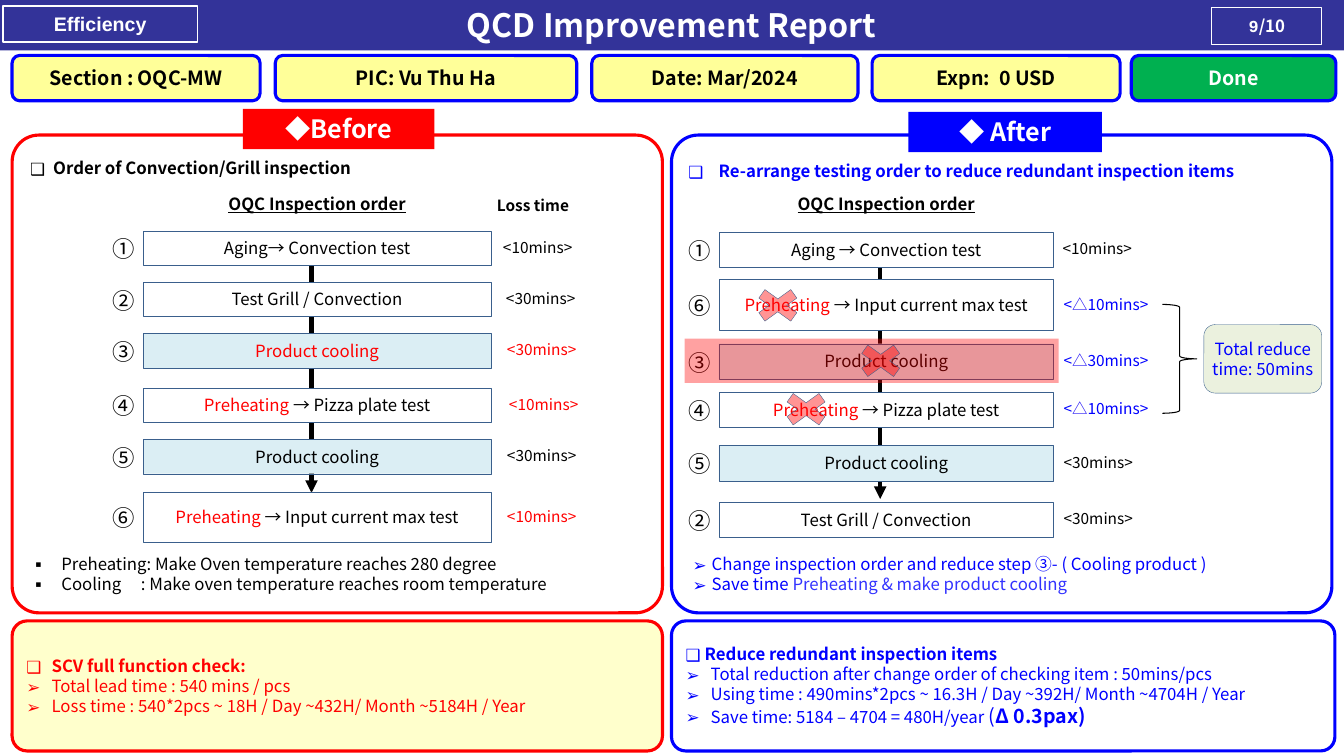
"""Build the QCD improvement report slide comparing inspection before and after."""
from lxml import etree
from pptx import Presentation, util as u
from pptx.dml.color import RGBColor
from pptx.enum import shapes as s, text as t
from pptx.oxml.ns import qn

FONT = "Noto Sans CJK JP"
BLACK, WHITE = RGBColor(0, 0, 0), RGBColor(255, 255, 255)
RED, BLUE = RGBColor(255, 0, 0), RGBColor(0, 0, 255)
NAVY, GREEN = RGBColor(0x33, 0x33, 0x99), RGBColor(0, 0xB0, 0x50)
YELLOW, CREAM = RGBColor(255, 255, 0x99), RGBColor(255, 255, 0xCC)
ICE, SAGE = RGBColor(0xDB, 0xEE, 0xF4), RGBColor(0xEB, 0xF1, 0xDE)
STEEL, VIOLET = RGBColor(0x3A, 0x5F, 0x8C), RGBColor(0x33, 0x33, 255)
INDIGO = RGBColor(0x17, 0x06, 0xF4)
RECT, ROUND = s.MSO_SHAPE.RECTANGLE, s.MSO_SHAPE.ROUNDED_RECTANGLE
CROSS, BRACE = s.MSO_SHAPE.MATH_MULTIPLY, s.MSO_SHAPE.RIGHT_BRACE
CENTER, LEFT = t.PP_ALIGN.CENTER, t.PP_ALIGN.LEFT
MIDDLE, TOP = t.MSO_ANCHOR.MIDDLE, t.MSO_ANCHOR.TOP
BOLD = {"bold": True}

FACTS = [
    ("Section : OQC-MW", 0.12, 2.46, YELLOW, BLACK),
    ("PIC: Vu Thu Ha", 2.73, 2.99, YELLOW, BLACK),
    ("Date: Mar/2024", 5.87, 2.64, YELLOW, BLACK),
    ("Expn:  0 USD", 8.65, 2.46, YELLOW, BLACK),
    ("Done", 11.22, 2.03, GREEN, WHITE),
]
FRAMES = [
    ((0.12, 1.34, 6.45, 4.74), RED, "◆Before", (2.41, 1.08, 1.9, 0.4)),
    ((6.66, 1.34, 6.55, 4.74), BLUE, "◆ After", (9.01, 1.11, 1.92, 0.4)),
]
PREHEAT = ("Preheating ", {"color": RED})
AGING = [("Aging → Convection test", {})]
GRILL = [("Test Grill / Convection", {})]
COOLING = [("Product cooling", {})]
RED_COOLING = [("Product cooling", {"color": RED})]
PIZZA = [PREHEAT, ("→ Pizza plate test", {})]
CURRENT = [PREHEAT, ("→ Input current max test", {})]
FLOWS = [
    {"left": 1.42, "width": 3.45, "axis": 3.09, "span": (2.42, 4.89), "number": 0.92, "steps": [
        ("①", 2.29, 0.34, [("Aging→ Convection test", {})], WHITE, "<10mins>", BLACK, 4.89),
        ("②", 2.80, 0.34, GRILL, WHITE, "<30mins>", BLACK, 4.92),
        ("③", 3.31, 0.34, RED_COOLING, ICE, "<30mins>", RED, 4.93),
        ("④", 3.85, 0.34, PIZZA, WHITE, "<10mins>", RED, 4.95),
        ("⑤", 4.36, 0.34, COOLING, ICE, "<30mins>", BLACK, 4.93),
        ("⑥", 4.88, 0.50, CURRENT, WHITE, "<10mins>", RED, 4.93)]},
    {"left": 7.13, "width": 3.32, "axis": 8.73, "span": (2.44, 4.95), "number": 6.63, "steps": [
        ("①", 2.30, 0.35, AGING, WHITE, "<10mins>", BLACK, 10.44),
        ("⑥", 2.77, 0.51, CURRENT, WHITE, "<△10mins>", BLUE, 10.45),
        ("③", 3.41, 0.35, COOLING, ICE, "<△30mins>", BLUE, 10.45),
        ("④", 3.89, 0.35, PIZZA, WHITE, "<△10mins>", BLUE, 10.45),
        ("⑤", 4.42, 0.35, COOLING, ICE, "<30mins>", BLACK, 10.45),
        ("②", 4.98, 0.35, GRILL, WHITE, "<30mins>", BLACK, 10.45)]},
]
STRUCK = [(8.43, 3.36), (7.41, 2.81), (7.69, 3.84)]
BEFORE_HEAD = [([("Order of Convection/Grill inspection", BOLD)], "❑", 0.23)]
AFTER_HEAD = [([("Re-arrange testing order to reduce redundant inspection items", BOLD)], "❑", 0.3)]
BEFORE_NOTES = [
    ([("Preheating: Make Oven temperature reaches 280 degree", {})], "▪", 0.31),
    ([("Cooling\t: Make oven temperature reaches room temperature", {})], "▪", 0.31),
]
COLON_STOPS = (0.79, 1.1)
AFTER_NOTES = [
    ([("Change inspection order and reduce step ③- ( Cooling product )", {})], "➢", 0.19),
    ([("Save time ", {}), ("Preheating & make product cooling", {"color": VIOLET})], "➢", 0.19),
]
BEFORE_SUM = [
    ([("SCV full function check:", BOLD)], "❑", 0.25),
    ([("Total lead time : 540 mins / pcs", {})], "➢", 0.25),
    ([("Loss time : 540*2pcs ~ 18H / Day ~432H/ Month ~5184H / Year", {})], "➢", 0.25),
]
AFTER_SUM = [
    ([("Reduce redundant inspection items", BOLD)], "❑", 0.19),
    ([("Total reduction after change order of checking item : 50mins/pcs", {})], "➢", 0.25),
    ([("Using time : 490mins*2pcs ~ 16.3H / Day ~392H/ Month ~4704H / Year", {})], "➢", 0.25),
    ([("Save time: 5184 – 4704 = 480H/year ", {}), ("(", {"size": 14}),
      ("Δ 0.3pax)", {"size": 14, "bold": True})], "➢", 0.25),
]


def inches(*lengths):
    return [u.Inches(length) for length in lengths]


def add_runs(para, runs, base):
    sizes = []
    for words, changes in runs:
        look = {"name": FONT, "size": 12, "color": BLACK, **base, **changes}
        span = para.add_run()
        span.text = words
        sizes.append(look["size"])
        span.font.color.rgb = look.pop("color")
        look["size"] = u.Pt(look["size"])
        for key, value in look.items():
            setattr(span.font, key, value)
        etree.SubElement(span.font._element, qn("a:ea"), typeface=look["name"])
    para.line_spacing = u.Pt(round(max(sizes) * 1.19, 1))


def write(box, paras, align=CENTER, anchor=MIDDLE, inset=(0.1, 0.05), **base):
    frame = box.text_frame
    across, down = inches(*inset)
    settings = {"word_wrap": True, "auto_size": t.MSO_AUTO_SIZE.NONE, "vertical_anchor": anchor,
                "margin_left": across, "margin_right": across, "margin_top": down, "margin_bottom": down}
    for key, value in settings.items():
        setattr(frame, key, value)
    for index, (runs, bullet, indent) in enumerate(paras):
        para = frame.add_paragraph() if index else frame.paragraphs[0]
        para.alignment = align
        if bullet:
            props = para._p.get_or_add_pPr()
            props.set("marL", str(u.Inches(indent)))
            props.set("indent", str(-u.Inches(indent)))
            etree.SubElement(props, qn("a:buFont"), typeface=FONT)
            etree.SubElement(props, qn("a:buChar"), char=bullet)
            if any("\t" in words for words, _ in runs):
                stops = etree.SubElement(props, qn("a:tabLst"))
                for stop in COLON_STOPS:
                    etree.SubElement(stops, qn("a:tab"), pos=str(u.Inches(stop)), algn="l")
        add_runs(para, runs, base)


def plain(words):
    return [([(words, {})], None, 0)]


def add_box(page, at, kind=RECT, fill=None, line=None, weight=0.25, alpha=None, corner=None):
    box = page.shapes.add_shape(kind, *inches(*at))
    box.shadow.inherit = False
    if fill is None:
        box.fill.background()
    else:
        box.fill.solid()
        box.fill.fore_color.rgb = fill
    if alpha:
        color = box._element.spPr.find(qn("a:solidFill"))[0]
        etree.SubElement(color, qn("a:alpha"), val=str(alpha * 1000))
    if line is None:
        box.line.fill.background()
    else:
        box.line.color.rgb = line
        box.line.width = u.Pt(weight)
    if corner:
        box.adjustments[0] = corner
    return box


def add_text(page, at, paras, **look):
    write(page.shapes.add_textbox(*inches(*at)), paras, **look)


def add_flow(page, flow):
    left, width, axis = flow["left"], flow["width"], flow["axis"]
    start, end = flow["span"]
    arrow = page.shapes.add_connector(s.MSO_CONNECTOR.STRAIGHT, *inches(axis, start, axis, end))
    arrow.line.color.rgb = BLACK
    arrow.line.width = u.Pt(3)
    etree.SubElement(arrow.line._get_or_add_ln(), qn("a:tailEnd"), type="triangle")
    etree.SubElement(arrow._element.spPr, qn("a:effectLst"))
    add_text(page, (left, 1.83, width, 0.38), plain("OQC Inspection order"), bold=True, underline=True)
    for number, top, height, runs, fill, loss, color, loss_left in flow["steps"]:
        middle = top + height / 2
        write(add_box(page, (left, top, width, height), fill=fill, line=STEEL), [(runs, None, 0)])
        add_text(page, (flow["number"], middle - 0.19, 0.62, 0.4), plain(number), size=16)
        pieces = [(part, {"color": INDIGO} if part == "△" else {})
                  for part in loss.replace("△", "|△|").split("|")]
        add_text(page, (loss_left, middle - 0.15, 1.16, 0.29), [(pieces, None, 0)],
                 align=LEFT, anchor=TOP, size=11, color=color)


def main():
    deck = Presentation()
    deck.slide_width, deck.slide_height = inches(13.33, 7.5)
    page = deck.slides.add_slide(deck.slide_layouts[5])
    title = page.shapes.title
    title.left, title.top, title.width, title.height = inches(0, 0, 13.33, 0.5)
    title.fill.solid()
    title.fill.fore_color.rgb = NAVY
    write(title, plain("QCD Improvement Report"), size=23, color=WHITE, bold=True)
    write(add_box(page, (12.02, 0.07, 1.09, 0.37), line=WHITE, weight=0.75),
          [([("9", {"name": "Courier New"}), ("/10", {})], None, 0)], color=WHITE, bold=True)
    write(add_box(page, (0.03, 0.06, 1.93, 0.36), line=WHITE, weight=1.25), plain("Efficiency"),
          inset=(0.04, 0), name="Arial", size=14, color=WHITE, bold=True)
    for words, left, width, fill, color in FACTS:
        box = add_box(page, (left, 0.55, width, 0.45), ROUND, fill, BLUE, 2.25)
        write(box, plain(words), size=14, color=color, bold=True)
    for at, color, label, label_at in FRAMES:
        add_box(page, at, ROUND, None, color, 2.25, corner=0.056)
        write(add_box(page, label_at, fill=color), plain(label), anchor=TOP, size=18, color=WHITE, bold=True)
    write(add_box(page, (0.12, 6.16, 6.45, 1.29), ROUND, CREAM, RED, 2.25, corner=0.115),
          BEFORE_SUM, align=LEFT, color=RED)
    write(add_box(page, (6.66, 6.16, 6.58, 1.29), ROUND, None, BLUE, 2.25, corner=0.109),
          AFTER_SUM, align=LEFT, color=BLUE)
    add_text(page, (0.2, 1.52, 4.03, 0.3), BEFORE_HEAD, align=LEFT)
    add_text(page, (6.73, 1.55, 6.41, 0.3), AFTER_HEAD, align=LEFT, anchor=TOP, color=BLUE)
    add_text(page, (0.2, 5.45, 6.28, 0.5), BEFORE_NOTES, align=LEFT, anchor=TOP)
    add_text(page, (6.77, 5.45, 6.41, 0.5), AFTER_NOTES, align=LEFT, anchor=TOP, color=BLUE)
    for flow in FLOWS:
        add_flow(page, flow)
    add_text(page, (4.83, 1.9, 0.98, 0.29), plain("Loss time"), align=LEFT, anchor=TOP, size=11, bold=True)
    add_box(page, (6.79, 3.36, 3.71, 0.44), fill=RED, alpha=37)
    for left, top in STRUCK:
        add_box(page, (left, top, 0.61, 0.44), CROSS, RED, STEEL, alpha=42)
    add_box(page, (11.53, 3.02, 0.34, 1.08), BRACE, line=BLACK, weight=0.75)
    write(add_box(page, (11.94, 3.22, 1.17, 0.68), ROUND, SAGE, STEEL),
          plain("Total reduce time: 50mins"), inset=(0, 0), color=BLUE)
    deck.save("out.pptx")


if __name__ == "__main__":
    main()
